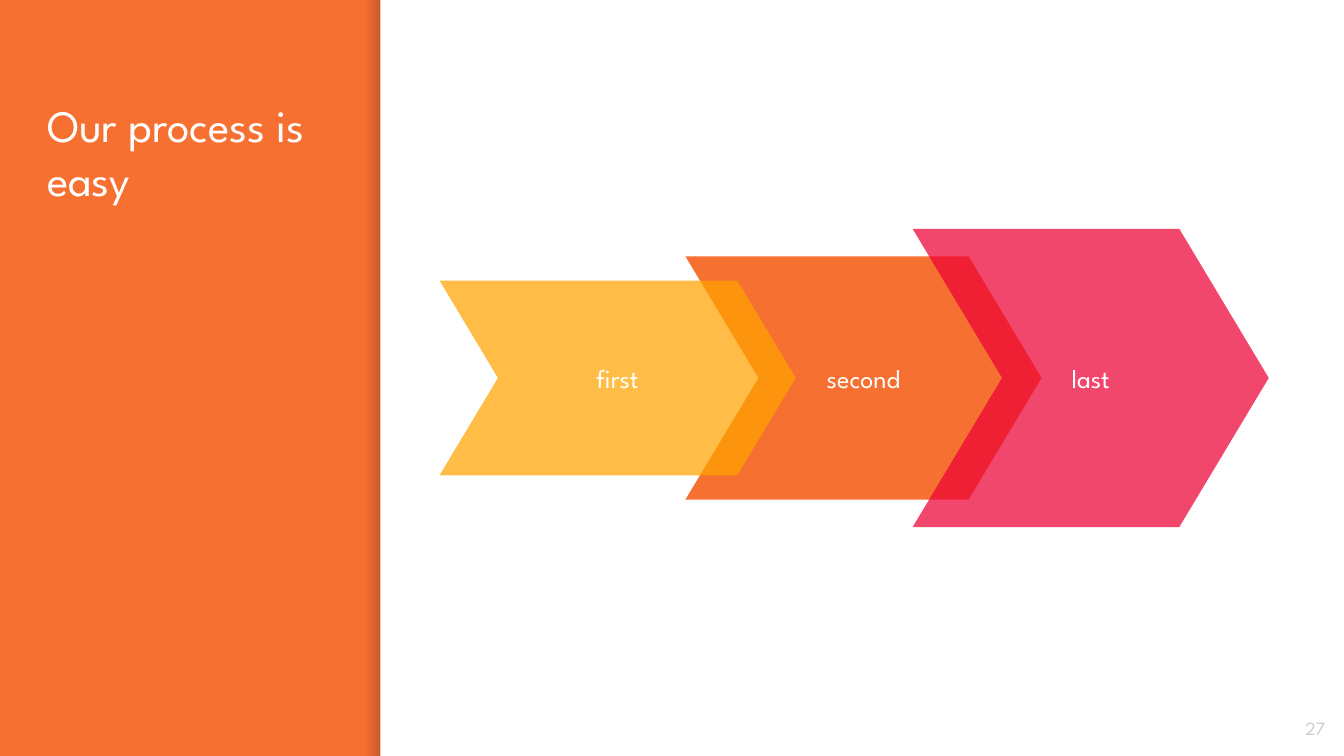
from dataclasses import dataclass

import pptx
import pptx.dml.color
import pptx.enum.shapes
import pptx.enum.text
import pptx.oxml
import pptx.oxml.ns
import pptx.util

Inches = pptx.util.Inches
Align = pptx.enum.text.PP_ALIGN
Anchor = pptx.enum.text.MSO_ANCHOR
Shape = pptx.enum.shapes.MSO_SHAPE

FONT = "League Spartan"
ORANGE = "F67031"
WHITE = "FFFFFF"
PAGE_WIDTH = 10
PAGE_HEIGHT = PAGE_WIDTH * 9 / 16
PANEL_LEFT = 2.83
SHADOW_WIDTH = 0.12
STEP_WIDTH = 2.65
STEP_MIDDLE = PAGE_HEIGHT / 2
STEP_NOTCH = 0.3


@dataclass
class Step:
    label: str
    left: float
    height: float
    color: str
    opacity: int = 100


# From back to front
STEPS = [
    Step("second", 5.1, 1.81, ORANGE),
    Step("last", 6.79, 2.22, "ED0036", 72),
    Step("first", 3.27, 1.45, "FFA400", 72),
]


def rgb(value: str) -> pptx.dml.color.RGBColor:
    return pptx.dml.color.RGBColor.from_string(value)


def set_opacity(shape, *percents: int) -> None:
    """Give each fill colour of the shape, in order, its opacity."""
    colors = shape.element.spPr.iter(pptx.oxml.ns.qn("a:srgbClr"))
    for color, percent in zip(colors, percents):
        alpha = pptx.oxml.parse_xml(
            f'<a:alpha {pptx.oxml.ns.nsdecls("a")} val="{percent * 1000}"/>'
        )
        color.append(alpha)


def add_plain_shape(page, kind, left: float, top: float, width: float, height: float):
    shape = page.shapes.add_shape(
        kind, Inches(left), Inches(top), Inches(width), Inches(height)
    )
    shape.shadow.inherit = False
    shape.line.fill.background()
    return shape


def write(shape, text: str, size: float, color: str, align, anchor) -> None:
    frame = shape.text_frame
    frame.word_wrap = True
    frame.auto_size = pptx.enum.text.MSO_AUTO_SIZE.NONE
    frame.vertical_anchor = anchor
    frame.margin_left = frame.margin_right = Inches(0.1)
    frame.margin_top = frame.margin_bottom = Inches(0.1)
    para = frame.paragraphs[0]
    para.text = text
    para.alignment = align
    para.font.name = FONT
    para.font.size = pptx.util.Pt(size)
    para.font.color.rgb = rgb(color)


def add_panel(page) -> None:
    """Draw the white panel and the shadow along its left edge."""
    shadow = add_plain_shape(
        page, Shape.RECTANGLE, PANEL_LEFT - SHADOW_WIDTH, 0, SHADOW_WIDTH, PAGE_HEIGHT
    )
    shadow.fill.gradient()
    shadow.fill.gradient_angle = 0
    for stop in shadow.fill.gradient_stops:
        stop.color.rgb = rgb("000014")
    set_opacity(shadow, 0, 20)

    panel = add_plain_shape(
        page, Shape.RECTANGLE, PANEL_LEFT, 0, PAGE_WIDTH - PANEL_LEFT, PAGE_HEIGHT
    )
    panel.fill.solid()
    panel.fill.fore_color.rgb = rgb(WHITE)


def add_title(page, text: str) -> None:
    title = page.shapes.title
    title.left, title.top = Inches(0.25), Inches(0.63)
    title.width, title.height = Inches(2.24), Inches(4.35)
    write(title, text, 24, WHITE, Align.LEFT, Anchor.TOP)


def add_step(page, step: Step) -> None:
    top = STEP_MIDDLE - step.height / 2
    chevron = add_plain_shape(
        page, Shape.CHEVRON, step.left, top, STEP_WIDTH, step.height
    )
    chevron.adjustments[0] = STEP_NOTCH
    chevron.fill.solid()
    chevron.fill.fore_color.rgb = rgb(step.color)
    if step.opacity < 100:
        set_opacity(chevron, step.opacity)
    write(chevron, step.label, 14, WHITE, Align.CENTER, Anchor.MIDDLE)


def add_page_number(page, number: str) -> None:
    box = page.shapes.add_textbox(
        Inches(9.36), Inches(5.2), Inches(0.6), Inches(0.43)
    )
    write(box, number, 10, "CCCCCC", Align.RIGHT, Anchor.MIDDLE)


def main() -> None:
    deck = pptx.Presentation()
    deck.slide_width, deck.slide_height = Inches(PAGE_WIDTH), Inches(PAGE_HEIGHT)
    page = deck.slides.add_slide(deck.slide_layouts[5])
    page.background.fill.solid()
    page.background.fill.fore_color.rgb = rgb(ORANGE)

    add_panel(page)
    add_title(page, "Our process is easy")
    for step in STEPS:
        add_step(page, step)
    add_page_number(page, "27")
    deck.save("out.pptx")


if __name__ == "__main__":
    main()
